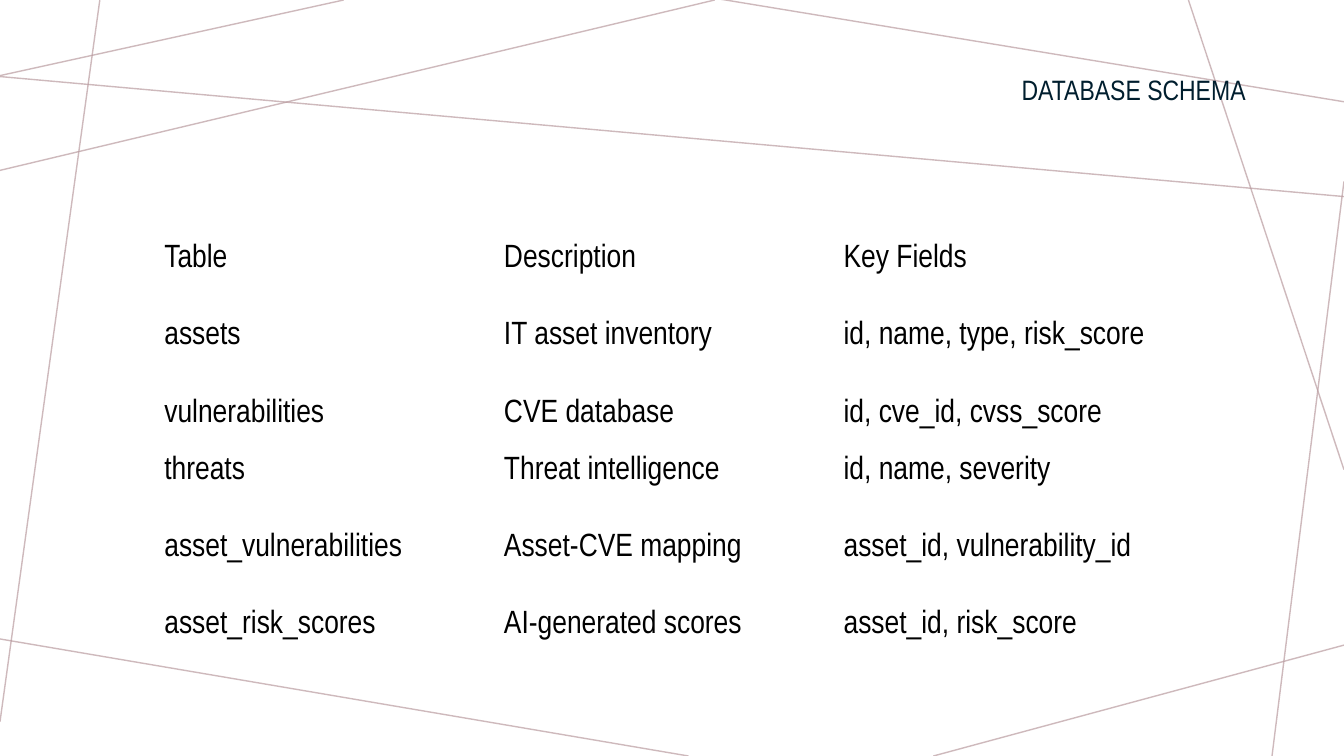
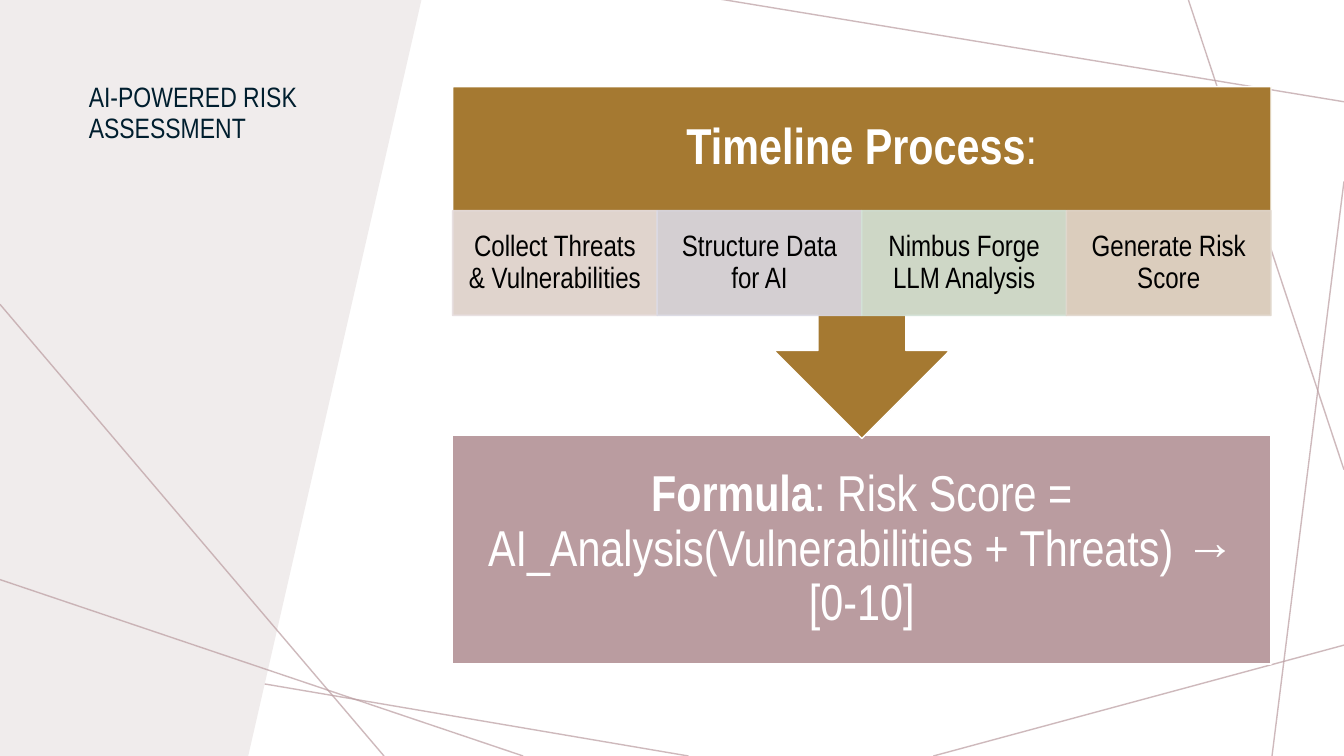
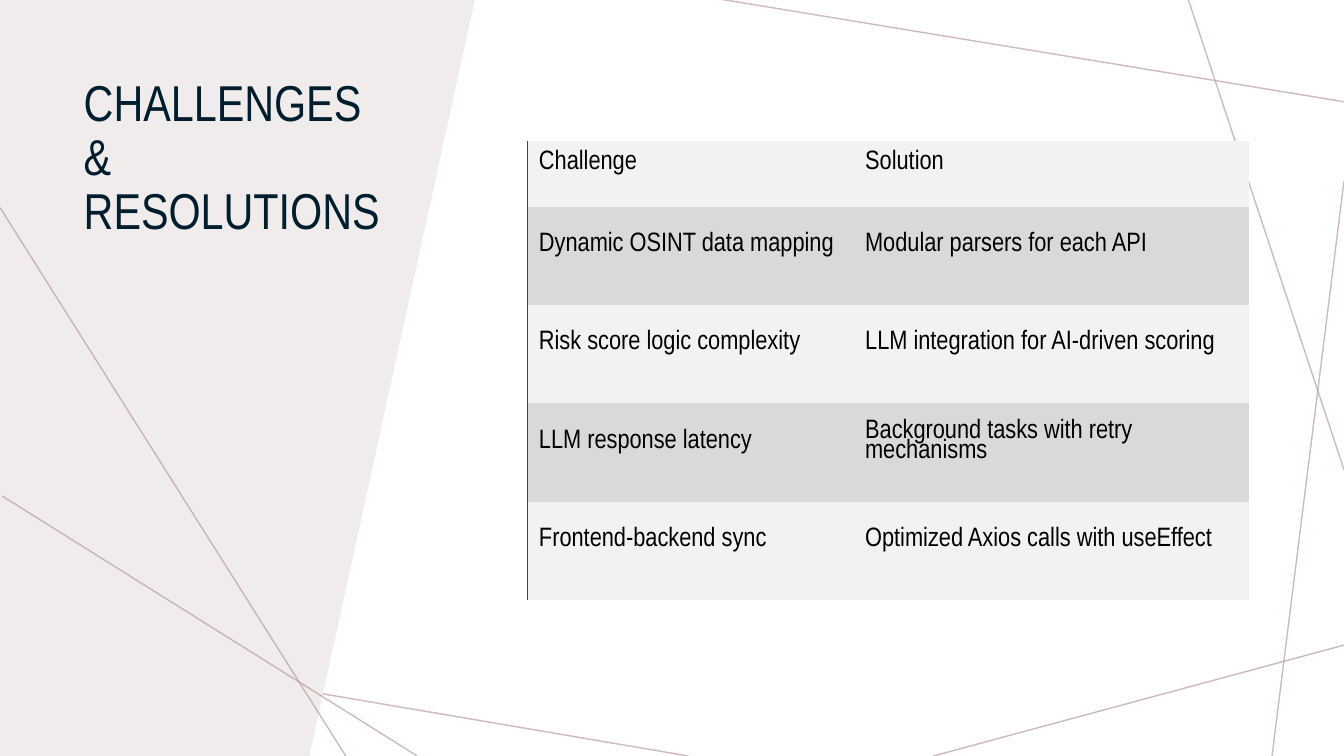
import pptx
import pptx.dml.color
import pptx.enum.shapes
import pptx.enum.text
import pptx.oxml
import pptx.oxml.ns
import pptx.util
from lxml import etree

Pt = pptx.util.Pt
qn = pptx.oxml.ns.qn
SHAPE = pptx.enum.shapes.MSO_SHAPE
ANCHOR = pptx.enum.text.MSO_ANCHOR
ALIGN = pptx.enum.text.PP_ALIGN

WIDTH, HEIGHT = 960, 540
FONT = "Arial Narrow"
NAVY, ROSE, PANEL, OCHRE = "001E2E", "BA9CA0", "F0ECEC", "A57931"
BLACK, WHITE, TEAL = "000000", "FFFFFF", "155767"
LIGHT_GREY, MID_GREY = "F2F2F2", "D9D9D9"
NO_STYLE = "{2D5ABB26-0587-4C30-8999-92F81FD0307C}"

SHARED_LINES = [
    (245.5, 0, 0, 54),
    (71.3, 0, 0, 515.5),
    (491.8, HEIGHT, -3.6, 455.8),
    (WIDTH, 460.8, 666.7, HEIGHT),
    (WIDTH, 129.6, 908.6, HEIGHT),
    (WIDTH, 335.5, 848.9, 0),
    (WIDTH, 72.7, 514.1, -0.7),
]

SCHEMA = [
    ("Table", "Description", "Key Fields"),
    ("assets", "IT asset inventory", "id, name, type, risk_score"),
    ("vulnerabilities", "CVE database", "id, cve_id, cvss_score"),
    ("threats", "Threat intelligence", "id, name, severity"),
    ("asset_vulnerabilities", "Asset-CVE mapping", "asset_id, vulnerability_id"),
    ("asset_risk_scores", "AI-generated scores", "asset_id, risk_score"),
]

STEPS = [
    ("Collect Threats & Vulnerabilities", "E7DEDF"),
    ("Structure Data for AI", "DAD9E4"),
    ("Nimbus Forge LLM Analysis", "D3E2D7"),
    ("Generate Risk Score", "E1D7CD"),
]

CHALLENGES = [
    ("Challenge", "Solution"),
    ("Dynamic OSINT data mapping", "Modular parsers for each API"),
    ("Risk score logic complexity", "LLM integration for AI-driven scoring"),
    ("LLM response latency", "Background tasks with retry mechanisms"),
    ("Frontend-backend sync", "Optimized Axios calls with useEffect"),
]


def rgb(value):
    """Turn a hex string into a colour."""
    return pptx.dml.color.RGBColor.from_string(value)


def set_opacity(sp, percent):
    """Make every solid colour of a shape partly transparent."""
    for color in sp.element.spPr.iter(qn("a:srgbClr")):
        etree.SubElement(color, qn("a:alpha"), val=str(percent * 1000))


def style_paragraph(p, size, color, align=ALIGN.LEFT, spacing=0.9):
    """Set the font, alignment and line spacing of a paragraph."""
    p.font.name = FONT
    p.font.size = Pt(size)
    p.font.color.rgb = rgb(color)
    p.alignment = align
    p.line_spacing = spacing


def set_margins(target, left, top, right, bottom):
    """Set the text margins of a text frame or table cell."""
    target.margin_left, target.margin_top = Pt(left), Pt(top)
    target.margin_right, target.margin_bottom = Pt(right), Pt(bottom)


def add_line(slide, x1, y1, x2, y2):
    """Add one thin decorative line."""
    line = slide.shapes.add_connector(
        pptx.enum.shapes.MSO_CONNECTOR.STRAIGHT, Pt(x1), Pt(y1), Pt(x2), Pt(y2))
    line.line.color.rgb = rgb(ROSE)
    line.line.width = Pt(1)
    set_opacity(line, 70)
    etree.SubElement(line.element.spPr, qn("a:effectLst"))
    return line


def move_to_back(shapes, sp):
    """Put a shape behind all others of a shape tree."""
    shapes.element.insert(2, sp.element)


def add_shared_lines(slide):
    """Place the lines that all slides share on the layout."""
    for number, ends in enumerate(SHARED_LINES, 100):
        line = add_line(slide, *ends)
        line.element.nvCxnSpPr.cNvPr.id = number
        move_to_back(slide.slide_layout.shapes, line)


def add_panel(slide, top_right, bottom_right):
    """Add the slanted panel along the left edge."""
    builder = slide.shapes.build_freeform(0, 0, scale=1.0)
    corners = [(top_right, 0), (bottom_right, HEIGHT), (0, HEIGHT)]
    builder.add_line_segments([(Pt(x), Pt(y)) for x, y in corners], close=True)
    sp = builder.convert_to_shape()
    sp.shadow.inherit = False
    sp.fill.solid()
    sp.fill.fore_color.rgb = rgb(PANEL)
    sp.line.fill.background()
    move_to_back(slide.shapes, sp)


def set_title(slide, text, box, size, align=ALIGN.LEFT, anchor=ANCHOR.TOP):
    """Move, fill and format the title placeholder."""
    title = slide.shapes.title
    title.left, title.top, title.width, title.height = map(Pt, box)
    tf = title.text_frame
    tf.text = text
    tf.auto_size = pptx.enum.text.MSO_AUTO_SIZE.NONE
    tf.vertical_anchor = anchor
    style_paragraph(tf.paragraphs[0], size, NAVY, align)


def add_block(slide, kind, box, fill, line, margins, runs, size, color):
    """Add a filled shape with centred text given as (text, bold) runs."""
    sp = slide.shapes.add_shape(kind, *map(Pt, box))
    sp.shadow.inherit = False
    sp.fill.solid()
    sp.fill.fore_color.rgb = rgb(fill)
    sp.line.color.rgb = rgb(line)
    sp.line.width = Pt(1)
    tf = sp.text_frame
    tf.word_wrap = True
    tf.vertical_anchor = ANCHOR.MIDDLE
    set_margins(tf, *margins)
    p = tf.paragraphs[0]
    style_paragraph(p, size, color, ALIGN.CENTER)
    for text, bold in runs:
        r = p.add_run()
        r.text = text
        r.font.bold = bold
    return sp


def add_grid(slide, left, top, widths, heights, rows, size, margins, fills=()):
    """Add an unstyled table whose rows cycle through the given fills."""
    frame = slide.shapes.add_table(
        len(rows), len(widths), Pt(left), Pt(top), Pt(sum(widths)), Pt(sum(heights)))
    table = frame.table
    table.first_row = table.horz_banding = False
    frame.element.find(".//" + qn("a:tableStyleId")).text = NO_STYLE
    for column, width in zip(table.columns, widths):
        column.width = Pt(width)
    for i, (row, height, texts) in enumerate(zip(table.rows, heights, rows)):
        row.height = Pt(height)
        for cell, text in zip(row.cells, texts):
            cell.text = text
            cell.vertical_anchor = ANCHOR.MIDDLE
            set_margins(cell, *margins)
            style_paragraph(cell.text_frame.paragraphs[0], size, BLACK, spacing=0.8)
            if fills:
                cell.fill.solid()
                cell.fill.fore_color.rgb = rgb(fills[i % len(fills)])
            else:
                cell.fill.background()
    return frame


def add_left_border(frame, color):
    """Draw a thin line along the left edge of a table."""
    for row in frame.element.iter(qn("a:tr")):
        border = etree.Element(qn("a:lnL"), w=str(Pt(1)))
        fill = etree.SubElement(border, qn("a:solidFill"))
        etree.SubElement(fill, qn("a:srgbClr"), val=color)
        row[0].find(qn("a:tcPr")).insert(0, border)


def build_schema(slide):
    """Build the database schema slide."""
    add_line(slide, 0, 121.7, 510.5, 0)
    add_line(slide, 0, 54.7, WIDTH, 140.4)
    set_title(slide, "DATABASE SCHEMA", (398, 34, 499, 63), 20,
              ALIGN.RIGHT, ANCHOR.MIDDLE)
    add_grid(slide, 108, 165.6, [242.6, 242.6, 260.6], [41, 69.3, 41] * 2,
             SCHEMA, 23, (9.4, 4.3, 9.4, 4.3))


def build_assessment(slide):
    """Build the risk assessment slide."""
    add_panel(slide, 301, 177.3)
    set_title(slide, "AI-POWERED RISK ASSESSMENT", (56.2, 56.2, 194.4, 146.2), 20)
    add_line(slide, 0, 217.4, 274.3, HEIGHT)
    add_line(slide, 373.7, HEIGHT, 0, 414)
    left, width, step_height = 323.3, 584.6, 74.9
    add_block(slide, SHAPE.RECTANGLE, (left, 311, width, 163.4), ROSE, WHITE,
              (20, 20, 20, 20),
              [("Formula", True),
               (": Risk Score = AI_Analysis(Vulnerabilities + Threats) → [0-10]", False)],
              36, WHITE)
    add_block(slide, SHAPE.DOWN_ARROW_CALLOUT, (left, 61.9, width, 251.3), OCHRE, WHITE,
              (20, 20, 20, 20 + step_height),
              [("Timeline Process", True), (":", False)], 36, WHITE)
    step_width = width / len(STEPS)
    for i, (text, color) in enumerate(STEPS):
        step = add_block(slide, SHAPE.RECTANGLE,
                         (left + i * step_width, 150.5, step_width, step_height),
                         color, color, (11.5, 2, 11.5, 2), [(text, False)], 21, BLACK)
        set_opacity(step, 90)


def build_challenges(slide):
    """Build the challenges and resolutions slide."""
    add_panel(slide, 339.1, 221)
    set_title(slide, "CHALLENGES & RESOLUTIONS", (52.6, 51.8, 233.3, 229.7), 36)
    add_line(slide, 298.1, HEIGHT, 1.4, 354.2)
    add_line(slide, 0, 148.3, 247, HEIGHT)
    frame = add_grid(slide, 377, 100.8, [233, 282], [47] + [70.2] * 4, CHALLENGES, 19,
                     (8, 2.3, 11.5, 17.3), (LIGHT_GREY, MID_GREY))
    add_left_border(frame, TEAL)


def main():
    """Build and save the presentation."""
    prs = pptx.Presentation()
    prs.slide_width, prs.slide_height = Pt(WIDTH), Pt(HEIGHT)
    layout = prs.slide_layouts.get_by_name("Title Only")
    builders = [build_schema, build_assessment, build_challenges]
    for build in builders:
        build(prs.slides.add_slide(layout))
    add_shared_lines(prs.slides[0])
    prs.save("out.pptx")


if __name__ == "__main__":
    main()
